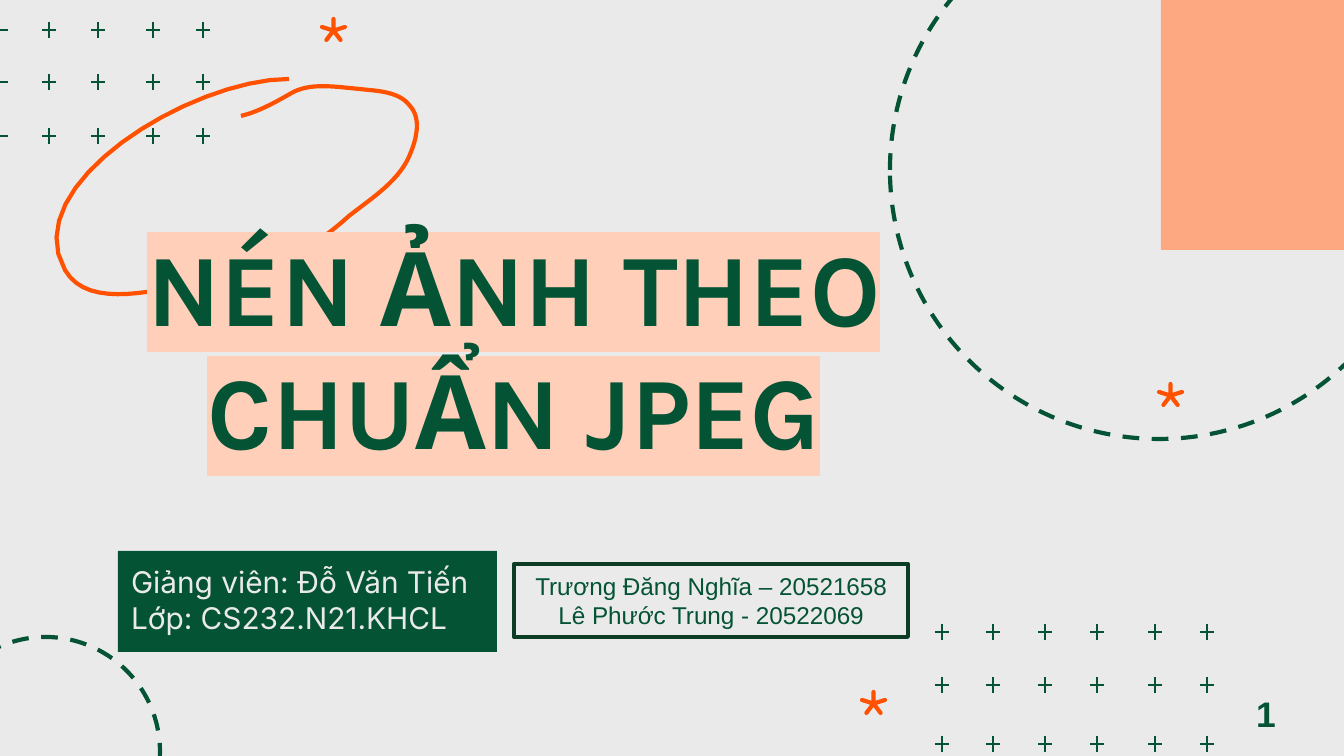
from pptx import Presentation
from pptx.dml.color import RGBColor
from pptx.enum.dml import MSO_LINE
from pptx.enum.shapes import MSO_CONNECTOR, MSO_SHAPE
from pptx.enum.text import MSO_ANCHOR, PP_ALIGN
from pptx.oxml.ns import qn
from pptx.util import Emu, Pt
from lxml.etree import SubElement

PX = 914400 / 134.4
COLORS = {
    "background": "EAEAEA",
    "green": "035334",
    "dark_green": "0C3D24",
    "orange": "FF5100",
    "salmon": "FEA881",
    "peach": "FFCFB9",
}
HEX = {name: RGBColor.from_string(value) for name, value in COLORS.items()}

deck = Presentation()
deck.slide_width, deck.slide_height = Emu(int(1344 * PX)), Emu(int(756 * PX))
page = deck.slides.add_slide(deck.slide_layouts[6])
page.background.fill.solid()
page.background.fill.fore_color.rgb = HEX["background"]


def add_box(left, top, width, height, kind=MSO_SHAPE.RECTANGLE, fill=None, line=None,
            weight=2.25, dash=None):
    box = page.shapes.add_shape(kind, *[Emu(round(n * PX)) for n in (left, top, width, height)])
    box.shadow.inherit = False
    if fill:
        box.fill.solid()
        box.fill.fore_color.rgb = HEX[fill]
    else:
        box.fill.background()
    if line:
        box.line.color.rgb = HEX[line]
        box.line.width = Pt(weight)
        box.line.dash_style = dash
    else:
        box.line.fill.background()
    return box


def write(box, lines, size, font, color="green", bold=False, align=PP_ALIGN.CENTER,
          anchor=MSO_ANCHOR.MIDDLE, inset=13, highlight=None):
    frame = box.text_frame
    frame.word_wrap = True
    frame.vertical_anchor = anchor
    frame.margin_left = frame.margin_right = Emu(round(13 * PX))
    frame.margin_top = frame.margin_bottom = Emu(round(inset * PX))
    for index, line in enumerate(lines):
        para = frame.add_paragraph() if index else frame.paragraphs[0]
        para.alignment = align
        span = para.add_run()
        span.text = line
        span.font.size, span.font.bold = Pt(size), bold
        span.font.color.rgb = HEX[color]
        if highlight:
            mark = SubElement(span.font._element, qn("a:highlight"))
            SubElement(mark, qn("a:srgbClr"), val=COLORS[highlight])
        span.font.name = font


# Dashed circle in the lower left corner
add_box(-69, 637, 229, 229, MSO_SHAPE.OVAL, line="green", dash=MSO_LINE.DASH)

# Grids of plus signs, the upper one cut by the left edge
plus_grids = [
    ([942, 993, 1045, 1097, 1155, 1207], [632, 685, 744]),
    ([1, 49, 98, 153, 203], [30, 82, 136]),
]
for columns, rows in plus_grids:
    group = page.shapes.add_group_shape()
    for y in rows:
        for x in columns:
            strokes = [(x - 7, y, x + 7, y)]
            if x > 7:
                strokes.append((x, y - 8, x, y + 8))
            for ends in strokes:
                stroke = group.shapes.add_connector(
                    MSO_CONNECTOR.STRAIGHT, *[Emu(round(n * PX)) for n in ends])
                stroke.line.color.rgb = HEX["green"]
                stroke.line.width = Pt(1.5)
                SubElement(stroke._element.spPr, qn("a:effectLst"))

# Thin stars
for left, top in [(1159, 384), (862, 692), (322, 19)]:
    star = add_box(left, top, 23, 21, MSO_SHAPE.STAR_5_POINT, fill="orange", line="orange")
    star.adjustments[0] = 0

# Corner block
add_box(1161, -52, 403, 302, fill="salmon")

# Hand-drawn loop, sampled from cubic curves
loop_start = (289, 79)
loop_curves = [
    ((191, 79), (16, 185), (65, 270)),
    ((89, 312), (160, 288), (207, 282)),
    ((262, 276), (311, 251), (349, 216)),
    ((372, 198), (401, 180), (411, 152)),
    ((417, 137), (421, 118), (410, 106)),
    ((399, 91), (376, 91), (359, 89)),
    ((336, 87), (309, 82), (290, 94)),
    ((274, 103), (258, 112), (241, 116)),
]
steps = 16
points = []
start = loop_start
for first, second, end in loop_curves:
    for step in range(1, steps + 1):
        t = step / steps
        weights = ((1 - t) ** 3, 3 * t * (1 - t) ** 2, 3 * t * t * (1 - t), t ** 3)
        corners = (start, first, second, end)
        points.append(tuple(
            round(sum(w * corner[axis] for w, corner in zip(weights, corners)) * PX)
            for axis in (0, 1)))
    start = end
builder = page.shapes.build_freeform(*[round(n * PX) for n in loop_start])
builder.add_line_segments(points, close=False)
loop = builder.convert_to_shape()
loop.shadow.inherit = False
loop.fill.background()
loop.line.color.rgb = HEX["orange"]
loop.line.width = Pt(2.25)

# Large dashed circle
add_box(890, -99, 538, 538, MSO_SHAPE.OVAL, line="green", dash=MSO_LINE.DASH)

# Lecturer and class
write(add_box(118, 551, 379, 101, fill="green"),
      ["Giảng viên: Đỗ Văn Tiến", "Lớp: CS232.N21.KHCL"], size=16, font="Inter",
      color="background", align=PP_ALIGN.LEFT, anchor=MSO_ANCHOR.TOP)

# Title
write(add_box(108, 144, 812, 406), ["NÉN ẢNH THEO CHUẨN JPEG"], size=55, font="Karla",
      bold=True, highlight="peach")

# Page number
write(add_box(1215, 692, 102, 42), ["1"], size=19, font="Arial", bold=True)

# Authors
write(add_box(514, 564, 394, 73, line="dark_green", weight=2),
      ["Trương Đăng Nghĩa – 20521658", "Lê Phước Trung - 20522069"], size=13, font="Arial",
      inset=7)

deck.save("out.pptx")
